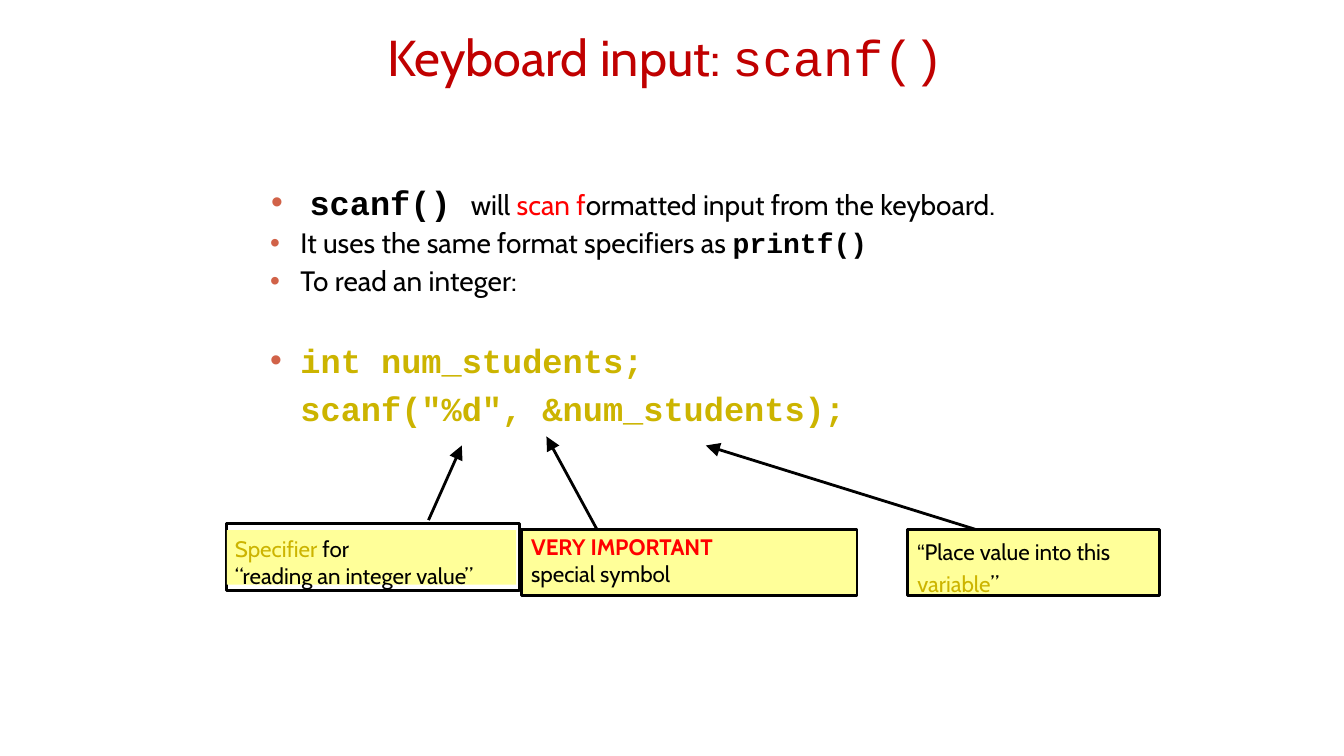
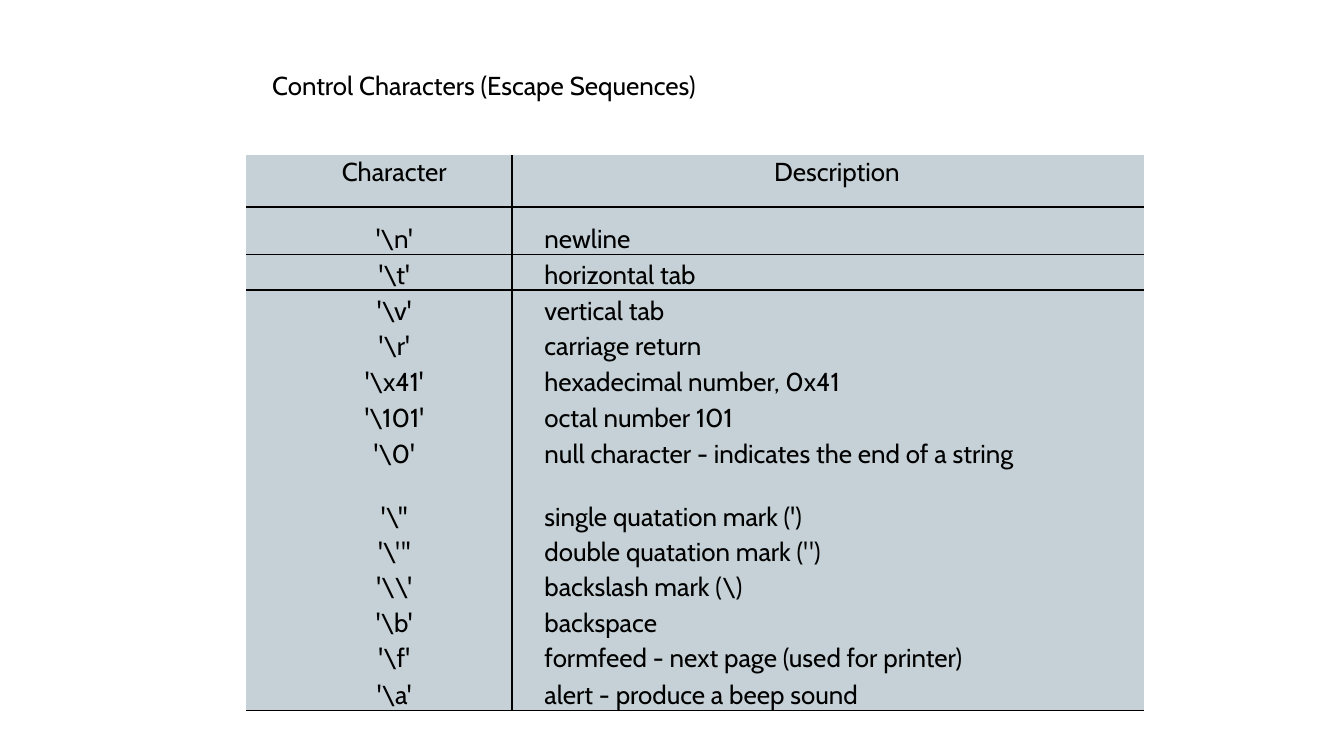
from dataclasses import dataclass
from typing import Any, NamedTuple, Sequence

from lxml import etree
from pptx import Presentation
from pptx.dml.color import RGBColor
from pptx.enum.shapes import MSO_CONNECTOR, MSO_SHAPE
from pptx.enum.text import MSO_ANCHOR, PP_ALIGN
from pptx.oxml.ns import qn
from pptx.util import Pt

# Shared scale, colours and fonts
EMU_PER_PX = 9144
SLIDE_WIDTH, SLIDE_HEIGHT = 1333, 750
BLACK = RGBColor(0x00, 0x00, 0x00)
RED = RGBColor(0xFF, 0x00, 0x00)
DARK_RED = RGBColor(0xC0, 0x00, 0x00)
GOLD = RGBColor(0xCC, 0xB4, 0x00)
YELLOW = RGBColor(0xFF, 0xFF, 0x99)
BLUE_GREY = RGBColor(0xC5, 0xD1, 0xD6)
BULLET_COLOR = RGBColor(0xD1, 0x62, 0x48)
SANS, MONO, ARIAL = "Cabin", "Courier New", "Arial"
NO_TABLE_STYLE = "{2D5ABB26-0587-4C30-8999-92F81FD0307C}"
LINE_WIDTH, BORDER_WIDTH = Pt(2), Pt(1.5)

RECTANGLE = MSO_SHAPE.RECTANGLE
STRAIGHT = MSO_CONNECTOR.STRAIGHT
TOP, MIDDLE = MSO_ANCHOR.TOP, MSO_ANCHOR.MIDDLE
LEFT, CENTER = PP_ALIGN.LEFT, PP_ALIGN.CENTER


class Box(NamedTuple):
    left: int
    top: int
    width: int
    height: int


class Run(NamedTuple):
    text: str
    size: float
    color: RGBColor = BLACK
    font: str = SANS
    bold: bool = False


@dataclass(frozen=True)
class Line:
    runs: Sequence[Run]
    margin: int = 0
    hanging: int = 0
    bullet: bool = False
    space_before: float = 0
    spacing: float = 1.0
    alignment: PP_ALIGN = LEFT


@dataclass(frozen=True)
class Callout:
    box: Box
    inset_left: int
    inset_top: int
    lines: Sequence[Line]
    outlined: bool = True


class Arrow(NamedTuple):
    tail: tuple[int, int]
    tip: tuple[int, int]


class EscapeRow(NamedTuple):
    escape: str
    description: str
    height: int = 31
    spacing: float = 1.15
    inset_top: int = 0


def px(length: int) -> int:
    return length * EMU_PER_PX


def set_values(target: Any, values: dict[str, Any]) -> None:
    for name, value in values.items():
        setattr(target, name, value)


# Text
def add_bullet(paragraph: Any) -> None:
    properties = paragraph._p.get_or_add_pPr()
    color = etree.SubElement(properties, qn("a:buClr"))
    etree.SubElement(color, qn("a:srgbClr"), val=str(BULLET_COLOR))
    etree.SubElement(properties, qn("a:buFont"), typeface=ARIAL)
    etree.SubElement(properties, qn("a:buChar"), char="•")


def write_lines(frame: Any, lines: Sequence[Line]) -> None:
    for index, line in enumerate(lines):
        paragraph = frame.add_paragraph() if index else frame.paragraphs[0]
        properties = paragraph._p.get_or_add_pPr()
        properties.set("marL", str(px(line.margin)))
        properties.set("indent", str(-px(line.hanging)))
        if line.bullet:
            add_bullet(paragraph)
        set_values(paragraph, {
            "alignment": line.alignment,
            "line_spacing": line.spacing,
            "space_before": Pt(line.space_before),
        })
        for item in line.runs:
            run = paragraph.add_run()
            run.text = item.text
            set_values(run.font, {
                "name": item.font, "size": Pt(item.size), "bold": item.bold,
            })
            run.font.color.rgb = item.color


def fill_frame(frame: Any, lines: Sequence[Line], inset_left: int = 0,
               inset_top: int = 0, anchor: MSO_ANCHOR = TOP) -> None:
    set_values(frame, {
        "word_wrap": True,
        "vertical_anchor": anchor,
        "margin_left": px(inset_left),
        "margin_top": px(inset_top),
        "margin_right": 0,
        "margin_bottom": 0,
    })
    write_lines(frame, lines)


def add_text(slide: Any, box: Box, lines: Sequence[Line], inset_top: int,
             anchor: MSO_ANCHOR = TOP) -> None:
    shape = slide.shapes.add_textbox(*map(px, box))
    fill_frame(shape.text_frame, lines, 0, inset_top, anchor)


def add_title(slide: Any, box: Box, runs: Sequence[Run]) -> None:
    add_text(slide, box, [Line(runs, margin=1)], 1, MIDDLE)


# Shapes
def add_rectangle(slide: Any, box: Box, filled: bool, outlined: bool) -> Any:
    shape = slide.shapes.add_shape(RECTANGLE, *map(px, box))
    shape.shadow.inherit = False
    if filled:
        shape.fill.solid()
        shape.fill.fore_color.rgb = YELLOW
    else:
        shape.fill.background()
    if outlined:
        shape.line.color.rgb = BLACK
        shape.line.width = LINE_WIDTH
    else:
        shape.line.fill.background()
    return shape


def add_callout(slide: Any, callout: Callout) -> None:
    shape = add_rectangle(slide, callout.box, True, callout.outlined)
    fill_frame(shape.text_frame, callout.lines, callout.inset_left,
               callout.inset_top)


def add_arrow(slide: Any, arrow: Arrow) -> None:
    connector = slide.shapes.add_connector(
        STRAIGHT, *map(px, (*arrow.tail, *arrow.tip)))
    connector.line.color.rgb = BLACK
    connector.line.width = LINE_WIDTH
    etree.SubElement(connector.line._get_or_add_ln(), qn("a:tailEnd"),
                     type="triangle", w="lg", len="lg")
    etree.SubElement(connector._element.spPr, qn("a:effectLst"))


# Table
def add_borders(cell: Any, sides: str) -> None:
    properties = cell._tc.get_or_add_tcPr()
    for position, side in enumerate(sides):
        border = etree.Element(qn(f"a:ln{side}"), w=str(BORDER_WIDTH))
        fill = etree.SubElement(border, qn("a:solidFill"))
        etree.SubElement(fill, qn("a:srgbClr"), val=str(BLACK))
        properties.insert(position, border)


def fill_cell(cell: Any, line: Line, inset_top: int, sides: str) -> None:
    set_values(cell, {
        "margin_left": 0, "margin_right": 0, "margin_bottom": 0,
        "margin_top": px(inset_top), "vertical_anchor": TOP,
    })
    cell.fill.solid()
    cell.fill.fore_color.rgb = BLUE_GREY
    add_borders(cell, sides)
    write_lines(cell.text_frame, [line])


def add_escape_table(slide: Any, left: int, top: int, widths: Sequence[int],
                     rows: Sequence[EscapeRow]) -> None:
    box = Box(left, top, sum(widths), sum(row.height for row in rows))
    table = slide.shapes.add_table(len(rows), len(widths), *map(px, box)).table
    set_values(table, {"first_row": False, "horz_banding": False})
    table._tbl.tblPr.find(qn("a:tableStyleId")).text = NO_TABLE_STYLE
    for column, width in zip(table.columns, widths):
        column.width = px(width)
    ruled_rows = (0, 1, len(rows) - 1)
    for index, row in enumerate(rows):
        table.rows[index].height = px(row.height)
        header = index == 0
        rules = ("T" if index - 1 in ruled_rows else "") + (
            "B" if index in ruled_rows else "")
        character = row.escape if header else f"'{row.escape}'"
        cells = (
            (character, 30, CENTER, "R"),
            (row.description, 17 if header else 32,
             CENTER if header else LEFT, "L"),
        )
        for column, (text, margin, alignment, side) in enumerate(cells):
            line = Line([Run(text, 18.5)], margin, spacing=row.spacing,
                        alignment=alignment)
            fill_cell(table.cell(index, column), line, row.inset_top,
                      side + rules)


# Content of the input slide
INPUT_LINES = [
    Line([Run("scanf() ", 24, font=MONO, bold=True), Run("will ", 20),
          Run("scan f", 20, RED),
          Run("ormatted input from the keyboard.", 20)], 40, 38, True),
    Line([Run("It uses the same format specifiers as ", 20),
          Run("printf()", 20, font=MONO, bold=True)], 31, 30, True, 3),
    Line([Run("To read an integer:", 20)], 31, 30, True, 3),
    Line([Run("int num_students;", 24, GOLD, MONO, True)],
         31, 30, True, 26, 1.14),
    Line([Run('scanf("%d", &num_students);', 24, GOLD, MONO, True)],
         31, space_before=2, spacing=1.14),
]
SPECIFIER_FRAME = Box(225, 519, 290, 67)
CALLOUTS = [
    Callout(Box(225, 526, 287, 54), 8, 0, [
        Line([Run("Specifier ", 16, GOLD), Run("for", 16)], spacing=1.19),
        Line([Run("“reading an integer value”", 16)])], outlined=False),
    Callout(Box(517, 525, 333, 66), 10, 4, [
        Line([Run("VERY IMPORTANT", 16, RED, bold=True)]),
        Line([Run("special symbol", 16)])]),
    Callout(Box(900, 525, 250, 66), 10, 4, [
        Line([Run("“", 16, font=ARIAL), Run("Place value into this", 16)],
             spacing=1.19),
        Line([Run("variable", 16, GOLD), Run("”", 16)], spacing=1.19)]),
]
ARROWS = [
    Arrow((425, 516), (458, 442)),
    Arrow((592, 525), (542, 433)),
    Arrow((967, 525), (700, 442)),
]

# Content of the escape sequence slide
ESCAPE_ROWS = [
    EscapeRow("Character", "Description", 51, 1.0, 1),
    EscapeRow(r"\n", "newline", 43, 1.18, 11),
    EscapeRow(r"\t", "horizontal tab"),
    EscapeRow(r"\v", "vertical tab"),
    EscapeRow(r"\r", "carriage return"),
    EscapeRow(r"\x41", "hexadecimal number, 0x41"),
    EscapeRow(r"\101", "octal number 101"),
    EscapeRow(r"\0", "null character - indicates the end of a string", 47, 1.17),
    EscapeRow(r"\'", "single quatation mark (')", 47, 1.18, 15),
    EscapeRow(r"\"", 'double quatation mark (")', 30, 1.12),
    EscapeRow(r"\\", r"backslash mark (\)", 30, 1.12),
    EscapeRow(r"\b", "backspace"),
    EscapeRow(r"\f", "formfeed - next page (used for printer)"),
    EscapeRow(r"\a", "alert - produce a beep sound", 32, 1.17),
]


def build_input_slide(slide: Any) -> None:
    add_title(slide, Box(383, 24, 585, 63),
              [Run("Keyboard input: ", 36, DARK_RED),
               Run("scanf()", 36, DARK_RED, MONO)])
    add_text(slide, Box(267, 173, 754, 231), INPUT_LINES, 7)
    add_rectangle(slide, SPECIFIER_FRAME, False, True)
    for callout in CALLOUTS:
        add_callout(slide, callout)
    for arrow in ARROWS:
        add_arrow(slide, arrow)


def build_escape_slide(slide: Any) -> None:
    add_title(slide, Box(269, 67, 456, 34),
              [Run("Control Characters (Escape Sequences)", 18.5)])
    add_escape_table(slide, 244, 154, (264, 627), ESCAPE_ROWS)


def main() -> None:
    presentation = Presentation()
    presentation.slide_width = px(SLIDE_WIDTH)
    presentation.slide_height = px(SLIDE_HEIGHT)
    blank_layout = presentation.slide_layouts[6]
    for build in (build_input_slide, build_escape_slide):
        build(presentation.slides.add_slide(blank_layout))
    presentation.save("out.pptx")


if __name__ == "__main__":
    main()
